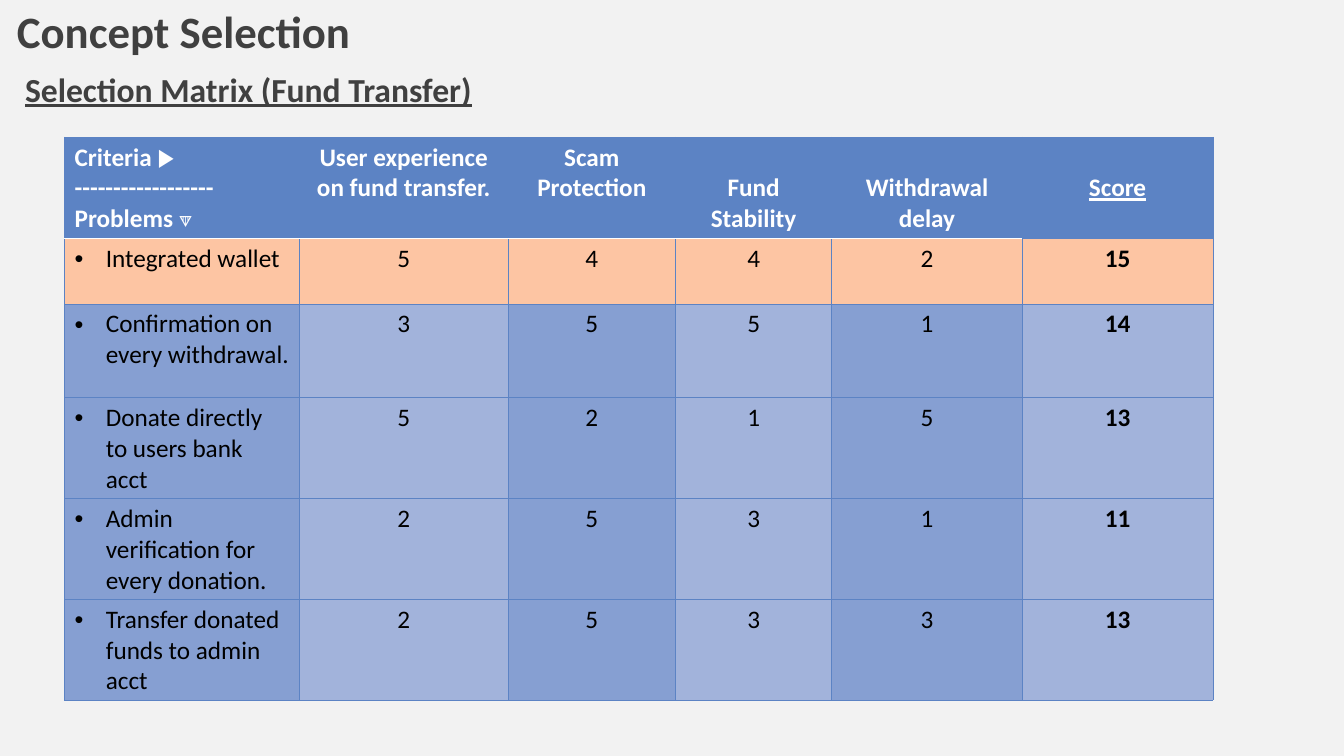
from dataclasses import dataclass

from lxml.etree import SubElement
from pptx import Presentation
from pptx.dml.color import RGBColor as Rgb
from pptx.enum.text import MSO_ANCHOR as Anchor, PP_ALIGN as Align
from pptx.oxml.ns import qn
from pptx.util import Inches, Pt

BLUE, DARK, LIGHT = "5C83C4", "869FD2", "A2B3DB"
PEACH, WHITE, BLACK, GREY = "FDC5A3", "FFFFFF", "000000", "404040"
LINE = 0.305


@dataclass
class Label:
    text: str
    box: tuple
    size: int
    under: bool = False


@dataclass
class Head:
    text: str
    width: float
    drop: int = 0


@dataclass
class Idea:
    name: str
    marks: tuple
    total: int


LABELS = [
    Label("Concept Selection", (0.07, 0, 4.04, 0.67), 32),
    Label("Selection Matrix (Fund Transfer)", (0.15, 0.45, 6.73, 0.91), 24, True),
]
HEADS = [
    Head("Criteria ▶\n------------------\nProblems 🔽", 2.33),
    Head("User experience on fund transfer.", 2.07),
    Head("Scam Protection", 1.66),
    Head("Fund Stability", 1.55, 1),
    Head("Withdrawal delay", 1.89, 1),
    Head("Score", 1.89, 1),
]
IDEAS = [
    Idea("Integrated wallet", (5, 4, 4, 2), 15),
    Idea("Confirmation on every withdrawal.", (3, 5, 5, 1), 14),
    Idea("Donate directly to users bank acct", (5, 2, 1, 5), 13),
    Idea("Admin verification for every donation.", (2, 5, 3, 1), 11),
    Idea("Transfer donated funds to admin acct", (2, 5, 3, 3), 13),
]
HIGHS = [0.93, 0.65, 0.93, 0.93, 0.93, 0.93]
LAST = len(HEADS) - 1


def tint(part, code: str) -> None:
    """Give a fill a solid colour."""
    part.solid()
    part.fore_color.rgb = Rgb.from_string(code)


def style(frame, size: int, code: str, bold: bool, under: bool = False) -> None:
    """Format every run of a text frame."""
    for para in frame.paragraphs:
        for run in para.runs:
            font = run.font
            font.name, font.size = "Calibri", Pt(size)
            font.bold, font.underline = bold, under
            font.color.rgb = Rgb.from_string(code)


def write(slide, label: Label) -> None:
    """Add a heading to the slide."""
    frame = slide.shapes.add_textbox(*map(Inches, label.box)).text_frame
    frame.word_wrap = True
    frame.vertical_anchor = Anchor.MIDDLE
    frame.text = label.text
    frame.paragraphs[0].line_spacing = 0.9
    style(frame, label.size, GREY, True, label.under)


def edge(cell, side: str, code: str, width: float) -> None:
    """Draw one border of a cell."""
    props = cell._tc.get_or_add_tcPr()
    line = SubElement(props, qn(f"a:ln{side}"), w=str(Pt(width)))
    fill = SubElement(line, qn("a:solidFill"))
    SubElement(fill, qn("a:srgbClr"), val=code)


def frame_cell(cell, row: int, col: int) -> None:
    """Draw the four borders of a cell, white under the header."""
    for side in "LRTB":
        seam = (row, side) in ((0, "B"), (1, "T")) and col < LAST
        edge(cell, side, WHITE if seam else BLUE, 1 if seam else 0.5)


def bullet(para) -> None:
    """Give a paragraph a hanging bullet."""
    props = para._p.get_or_add_pPr()
    props.set("marL", str(Inches(0.31)))
    props.set("indent", str(Inches(-0.31)))
    SubElement(props, qn("a:buFont"), typeface="Arial")
    SubElement(props, qn("a:buChar"), char="•")


def fill_cell(cell, row: int, col: int, text: str) -> None:
    """Write and format one cell of the matrix."""
    frame_cell(cell, row, col)
    band = LIGHT if col % 2 else DARK
    tint(cell.fill, BLUE if row == 0 else PEACH if row == 1 else band)
    frame = cell.text_frame
    frame.text = text
    if col:
        frame.paragraphs[0].alignment = Align.CENTER
    elif row:
        bullet(frame.paragraphs[0])
    head = row == 0
    style(frame, 18, BLACK if row else WHITE, head or col == LAST, head and col == LAST)
    if head:
        cell.margin_top = Inches(0.05 + LINE * HEADS[col].drop)


def matrix(slide) -> None:
    """Add the selection matrix."""
    rows = [[head.text for head in HEADS]]
    rows += [[idea.name, *map(str, idea.marks), str(idea.total)] for idea in IDEAS]
    box = map(Inches, (0.64, 1.36, sum(h.width for h in HEADS), sum(HIGHS)))
    table = slide.shapes.add_table(len(rows), len(HEADS), *box).table
    table.horz_banding = False
    for col, head in zip(table.columns, HEADS):
        col.width = Inches(head.width)
    for row, high in zip(table.rows, HIGHS):
        row.height = Inches(high)
    for r, texts in enumerate(rows):
        for c, text in enumerate(texts):
            fill_cell(table.cell(r, c), r, c, text)


def main() -> None:
    """Build and save the slide."""
    deck = Presentation()
    deck.slide_width, deck.slide_height = Inches(13.33), Inches(7.5)
    slide = deck.slides.add_slide(deck.slide_layouts[6])
    tint(slide.background.fill, "F2F2F2")
    for label in LABELS:
        write(slide, label)
    matrix(slide)
    deck.save("out.pptx")


if __name__ == "__main__":
    main()
